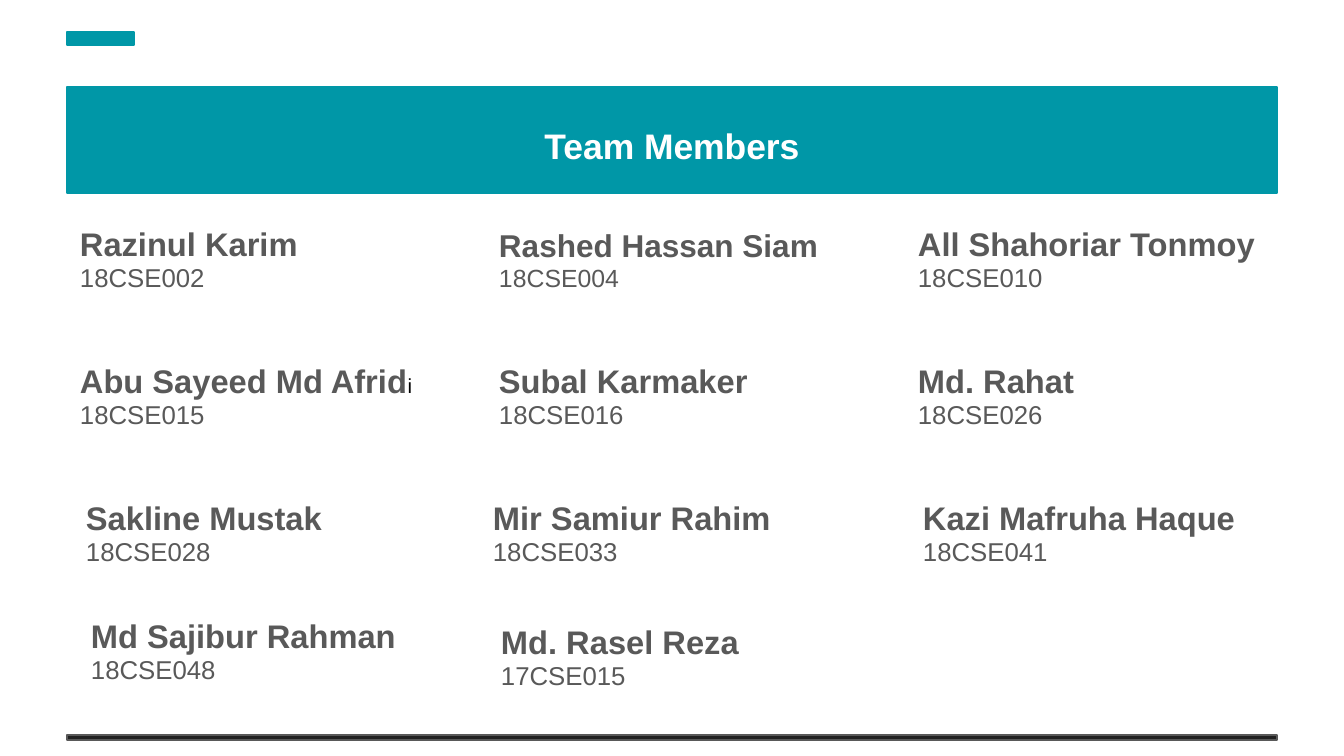
"""Build a team members slide with a banner and a three-column grid of names."""
from pptx import Presentation
from pptx import util as u
from pptx.dml.color import RGBColor
from pptx.enum import shapes, text

SCALE = 914400 / 134.4
COLORS = {"teal": "0097A7", "white": "FFFFFF", "gray": "595959", "dark": "212121", "black": "000000"}
LEFT, COLUMN_STEP = 67, 419
ROW_TOPS = [211, 348, 485, 603]
CARD_WIDTH, CARD_HEIGHT = 372, 95
INSET = 13

# name, student number, nudge right, nudge down
MEMBERS = [
    [("Razinul Karim", "18CSE002", 0, 0),
     ("Rashed Hassan Siam", "18CSE004", 0, 0),
     ("All Shahoriar Tonmoy", "18CSE010", 0, 0)],
    [("Abu Sayeed Md Afrid", "18CSE015", 0, 0),
     ("Subal Karmaker", "18CSE016", 0, 0),
     ("Md. Rahat", "18CSE026", 0, 0)],
    [("Sakline Mustak", "18CSE028", 6, 0),
     ("Mir Samiur Rahim", "18CSE033", -6, 0),
     ("Kazi Mafruha Haque", "18CSE041", 5, 0)],
    [("Md Sajibur Rahman", "18CSE048", 11, 0),
     ("Md. Rasel Reza", "17CSE015", 2, 6)],
]
SMALLER_SIZES = {"Rashed Hassan Siam": (16.9, 13.3)}
SMALL_ENDINGS = {"Abu Sayeed Md Afrid": "i"}


def px(length):
    """Turn px into EMU."""
    return u.Emu(round(length * SCALE))


def color(name):
    """Look up a named colour."""
    return RGBColor.from_string(COLORS[name])


def add_bar(page, left, top, width, height, fill, line):
    """Add a filled rectangle with a thin outline."""
    bar = page.shapes.add_shape(shapes.MSO_SHAPE.RECTANGLE, *map(px, (left, top, width, height)))
    bar.shadow.inherit = False
    bar.fill.solid()
    bar.fill.fore_color.rgb = color(fill)
    bar.line.color.rgb = color(line)
    bar.line.width = u.Pt(0.75)


def add_text(page, left, top, width, height, lines, spacing, anchor, align):
    """Add a text box from lines of (words, size, bold, colour) runs."""
    box = page.shapes.add_textbox(*map(px, (left, top, width, height)))
    frame = box.text_frame
    frame.word_wrap = True
    frame.vertical_anchor = anchor
    frame.margin_left = frame.margin_right = px(INSET)
    frame.margin_top = frame.margin_bottom = px(INSET)
    for index, runs in enumerate(lines):
        para = frame.add_paragraph() if index else frame.paragraphs[0]
        para.alignment = align
        para.line_spacing = spacing
        for words, size, bold, shade in runs:
            span = para.add_run()
            span.text = words
            span.font.name = "Arial"
            span.font.size = u.Pt(size)
            span.font.bold = bold
            span.font.color.rgb = color(shade)


def add_member(page, left, top, name, number):
    """Add one member's name above the student number."""
    name_size, number_size = SMALLER_SIZES.get(name, (17.5, 13.8))
    name_runs = [(name, name_size, True, "gray")]
    if name in SMALL_ENDINGS:
        name_runs.append((SMALL_ENDINGS[name], 10.9, False, "black"))
    lines = [name_runs, [(number, number_size, False, "gray")]]
    add_text(page, left, top, CARD_WIDTH, CARD_HEIGHT, lines, 0.95,
             text.MSO_ANCHOR.BOTTOM, text.PP_ALIGN.LEFT)


def main():
    """Build and save the slide."""
    deck = Presentation()
    deck.slide_width, deck.slide_height = px(1344), px(756)
    page = deck.slides.add_slide(deck.slide_layouts[6])
    add_bar(page, LEFT, 87, 1210, 106, "teal", "teal")
    add_bar(page, LEFT, 735, 1210, 5, "dark", "gray")
    add_bar(page, LEFT, 32, 67, 13, "teal", "teal")
    add_text(page, 135, 105, 1074, 95, [[("Team Members", 19, True, "white")]], 1.15,
             text.MSO_ANCHOR.TOP, text.PP_ALIGN.CENTER)
    for top, row in zip(ROW_TOPS, MEMBERS):
        for column, (name, number, right, down) in enumerate(row):
            add_member(page, LEFT + column * COLUMN_STEP + right, top + down, name, number)
    deck.save("out.pptx")


if __name__ == "__main__":
    main()
